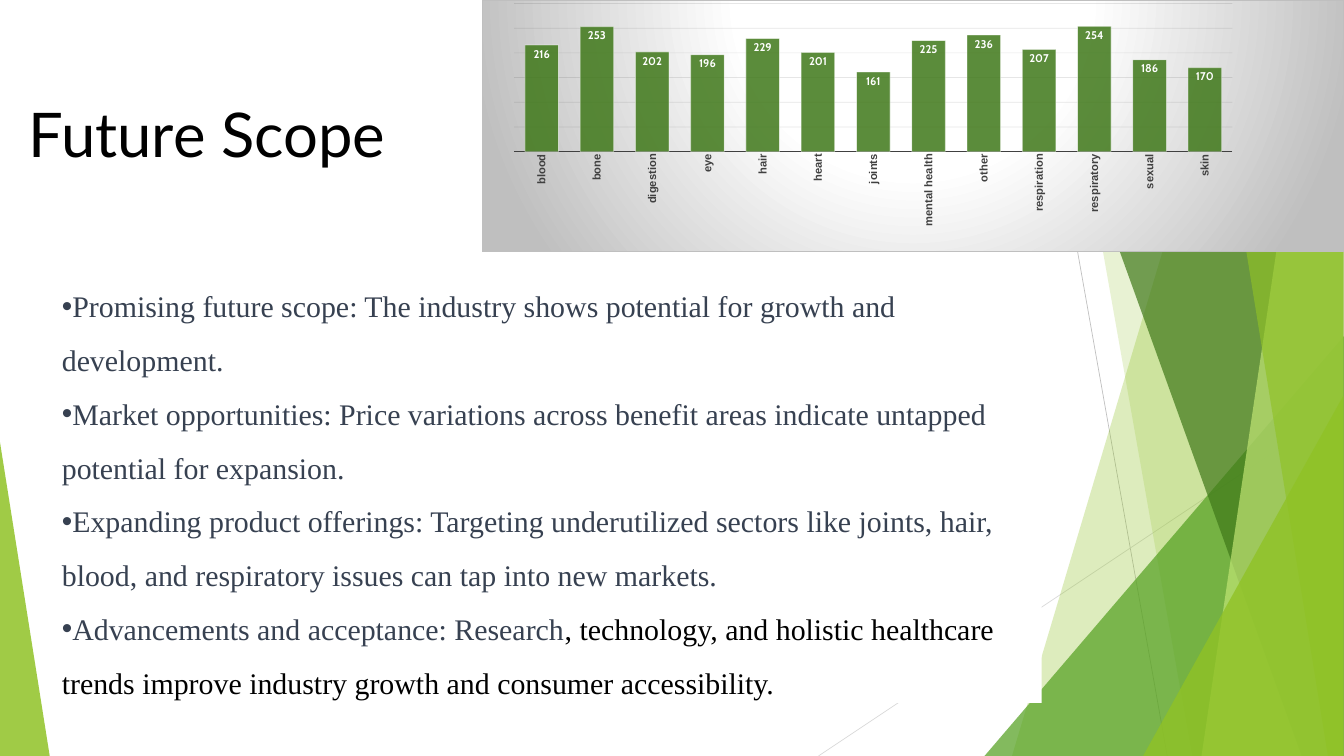
from lxml import etree
from pptx import Presentation
from pptx.chart.data import CategoryChartData
from pptx.dml.color import RGBColor
from pptx.enum.chart import XL_CHART_TYPE, XL_LABEL_POSITION, XL_TICK_LABEL_POSITION, XL_TICK_MARK
from pptx.enum.shapes import MSO_CONNECTOR, MSO_SHAPE
from pptx.enum.text import MSO_ANCHOR, PP_ALIGN
from pptx.oxml import parse_xml
from pptx.oxml.ns import nsdecls, qn
from pptx.util import Inches, Pt

COLUMN = XL_CHART_TYPE.COLUMN_CLUSTERED
INSIDE_END = XL_LABEL_POSITION.INSIDE_END
NO_LABELS = XL_TICK_LABEL_POSITION.NONE
NO_TICK = XL_TICK_MARK.NONE
STRAIGHT = MSO_CONNECTOR.STRAIGHT
RECTANGLE, TRIANGLE = MSO_SHAPE.RECTANGLE, MSO_SHAPE.ISOSCELES_TRIANGLE
LEFT, TOP, BOTTOM = PP_ALIGN.LEFT, MSO_ANCHOR.TOP, MSO_ANCHOR.BOTTOM

COLORS = {
    "white": "FFFFFF", "black": "000000", "slate": "374151", "axis": "404040",
    "silver": "BFBFBF", "mist": "D9D9D9", "grid": "0D0D0D", "lime": "90C226",
    "green": "54A021", "forest": "3F7819", "pale": "C0E474",
}
WIDTH, HEIGHT = 20, 11.25
RIGHT = 19.99
BENEFITS = {
    "blood": 216, "bone": 253, "digestion": 202, "eye": 196, "hair": 229,
    "heart": 201, "joints": 161, "mental health": 225, "other": 236,
    "respiration": 207, "respiratory": 254, "sexual": 186, "skin": 170,
}
BACK_BANDS = [
    (18.42, RIGHT, RIGHT, 15.06, "lime", 30),
    (15.75, WIDTH, WIDTH, 17.74, "lime", 20),
]
FRONT_BANDS = [
    (15.31, RIGHT, RIGHT, 19.37, "forest", 70),
    (19.55, RIGHT, RIGHT, 17.88, "pale", 70),
    (17.94, RIGHT, RIGHT, 19.76, "lime", 65),
]
POINTS = [
    [("Promising future scope: The industry shows potential for growth and development.", "slate")],
    [("Market opportunities: Price variations across benefit areas indicate untapped "
      "potential for expansion.", "slate")],
    [("Expanding product offerings: Targeting underutilized sectors like joints, hair, "
      "blood, and respiratory issues can tap into new markets.", "slate")],
    [("Advancements and acceptance: Research", "slate"),
     (", technology, and holistic healthcare trends improve industry growth and "
      "consumer accessibility.", "black")],
]


def set_font(font, name, size, color, bold=False):
    font.name, font.size, font.bold = name, Pt(size), bold
    font.color.rgb = RGBColor.from_string(COLORS[color])


def set_paint(paint, color, opacity=100):
    paint.solid()
    paint.fore_color.rgb = RGBColor.from_string(COLORS[color])
    if opacity < 100:
        choice = paint._xPr.find(qn("a:solidFill"))[0]
        etree.SubElement(choice, qn("a:alpha")).set("val", str(opacity * 1000))


def set_line(line, color, opacity=100):
    set_paint(line.fill, color, opacity)
    line.width = Pt(0.75)


def write_text(frame, paragraphs, font, size, spacing=1.0, bullet=None):
    frame.word_wrap = True
    for index, runs in enumerate(paragraphs):
        paragraph = frame.add_paragraph() if index else frame.paragraphs[0]
        paragraph.alignment = LEFT
        paragraph.line_spacing = spacing
        if bullet:
            properties = paragraph._p.get_or_add_pPr()
            etree.SubElement(properties, qn("a:buFont")).set("typeface", "Arial")
            etree.SubElement(properties, qn("a:buChar")).set("char", bullet)
        for text, color in runs:
            run = paragraph.add_run()
            run.text = text
            set_font(run.font, font, size, color)


class SlideBuilder:
    """Draw styled elements on the current slide."""

    def __init__(self, slide):
        self.shapes = slide.shapes

    def line(self, start, end, color):
        connector = self.shapes.add_connector(STRAIGHT, *map(Inches, start + end))
        set_line(connector.line, color)
        etree.SubElement(connector._element.spPr, qn("a:effectLst"))

    def finish(self, shape, color, opacity=100):
        shape.shadow.inherit = False
        set_paint(shape.fill, color, opacity)
        shape.line.fill.background()

    def band(self, top_left, top_right, bottom_right, bottom_left, color, opacity):
        corners = [(top_left, -0.01), (top_right, -0.01), (bottom_right, HEIGHT), (bottom_left, HEIGHT)]
        corners = [(Inches(x), Inches(y)) for x, y in corners]
        builder = self.shapes.build_freeform(*corners[0], scale=1.0)
        builder.add_line_segments(corners[1:], close=True)
        self.finish(builder.convert_to_shape(), color, opacity)

    def shape(self, kind, box, color, opacity=100):
        shape = self.shapes.add_shape(kind, *map(Inches, box))
        self.finish(shape, color, opacity)
        return shape

    def triangle(self, box, apex, color, opacity):
        self.shape(TRIANGLE, box, color, opacity).adjustments[0] = apex

    def title(self, box, text):
        frame = self.shapes.add_textbox(*map(Inches, box)).text_frame
        frame.vertical_anchor = TOP
        write_text(frame, [[(text, "black")]], "Lato", 66)

    def bullets(self, box, points):
        frame = self.shape(RECTANGLE, box, "white").text_frame
        frame.vertical_anchor = BOTTOM
        frame.margin_left = frame.margin_right = frame.margin_top = 0
        frame.margin_bottom = Inches(0.04)
        write_text(frame, points, "Times New Roman", 32, 1.5, "•")

    def chart(self, box, values):
        data = CategoryChartData(number_format="0")
        data.categories = list(values)
        data.add_series("Series 1", list(values.values()))
        chart = self.shapes.add_chart(COLUMN, *map(Inches, box), data).chart
        chart.has_legend = chart.has_title = False
        set_font(chart.font, "Cabin", 10, "black")
        self.style_axes(chart)
        self.style_bars(chart.plots[0])
        self.style_area(chart)

    def style_axes(self, chart):
        category, value = chart.category_axis, chart.value_axis
        category.major_tick_mark = NO_TICK
        set_font(category.tick_labels.font, "Arial", 12, "axis", True)
        category._element.find(qn("c:txPr")).find(qn("a:bodyPr")).set("rot", "-5400000")
        set_line(category.format.line, "axis")
        category.format.line.width = Pt(1.5)
        value.minimum_scale, value.maximum_scale, value.major_unit = 0, 300, 50
        value.major_tick_mark, value.tick_label_position = NO_TICK, NO_LABELS
        value.format.line.fill.background()
        set_line(value.major_gridlines.format.line, "grid", 10)

    def style_bars(self, plot):
        plot.gap_width, plot.vary_by_categories = 65, False
        series = plot.series[0]
        set_paint(series.format.fill, "forest", 85)
        set_line(series.format.line, "white", 50)
        labels = series.data_labels
        labels.show_value, labels.position = True, INSIDE_END
        labels.number_format, labels.number_format_is_linked = "0", False
        set_font(labels.font, "Cabin", 12, "white", True)

    def style_area(self, chart):
        stops = "".join(
            f'<a:gs pos="{position * 1000}"><a:srgbClr val="{COLORS[color]}"/></a:gs>'
            for position, color in [(0, "white"), (39, "white"), (100, "silver")])
        chart_element = chart._chartSpace.find(qn("c:chart"))
        chart_element.addnext(parse_xml(
            f'<c:spPr {nsdecls("c", "a")}><a:gradFill><a:gsLst>{stops}</a:gsLst>'
            '<a:path path="circle"><a:fillToRect l="50000" t="-80000" r="50000" b="180000"/></a:path>'
            f'</a:gradFill><a:ln w="9525"><a:solidFill><a:srgbClr val="{COLORS["silver"]}"/>'
            '</a:solidFill></a:ln></c:spPr>'))
        area = chart_element.find(qn("c:plotArea"))
        for old in area.findall(qn("c:layout")):
            area.remove(old)
        sides = "".join(f'<c:{name} val="{number}"/>' for name, number in [
            ("layoutTarget", "inner"), ("xMode", "edge"), ("yMode", "edge"),
            ("x", 0.037), ("y", 0.013), ("w", 0.834), ("h", 0.589)])
        area.insert(0, parse_xml(
            f'<c:layout {nsdecls("c")}><c:manualLayout>{sides}</c:manualLayout></c:layout>'))


def main():
    presentation = Presentation()
    presentation.slide_width, presentation.slide_height = Inches(WIDTH), Inches(HEIGHT)
    builder = SlideBuilder(presentation.slides.add_slide(presentation.slide_layouts[6]))
    builder.line((15.37, 0), (17.37, HEIGHT), "silver")
    builder.line((RIGHT, 6.04), (12.18, HEIGHT), "mist")
    for band in BACK_BANDS:
        builder.band(*band)
    builder.triangle((14.65, 5, 5.35, 6.25), 1, "green", 72)
    for band in FRONT_BANDS:
        builder.band(*band)
    builder.triangle((17.01, 5.89, 2.98, 5.36), 1, "lime", 80)
    builder.triangle((0, 6.58, 0.74, 4.67), 0, "lime", 85)
    builder.title((0.33, 1.38, 7.33, 1.21), "Future Scope")
    builder.bullets((0.92, 3.46, 14.58, 7), POINTS)
    builder.chart((7.17, 0, 12.83, 3.75), BENEFITS)
    presentation.save("out.pptx")


if __name__ == "__main__":
    main()
